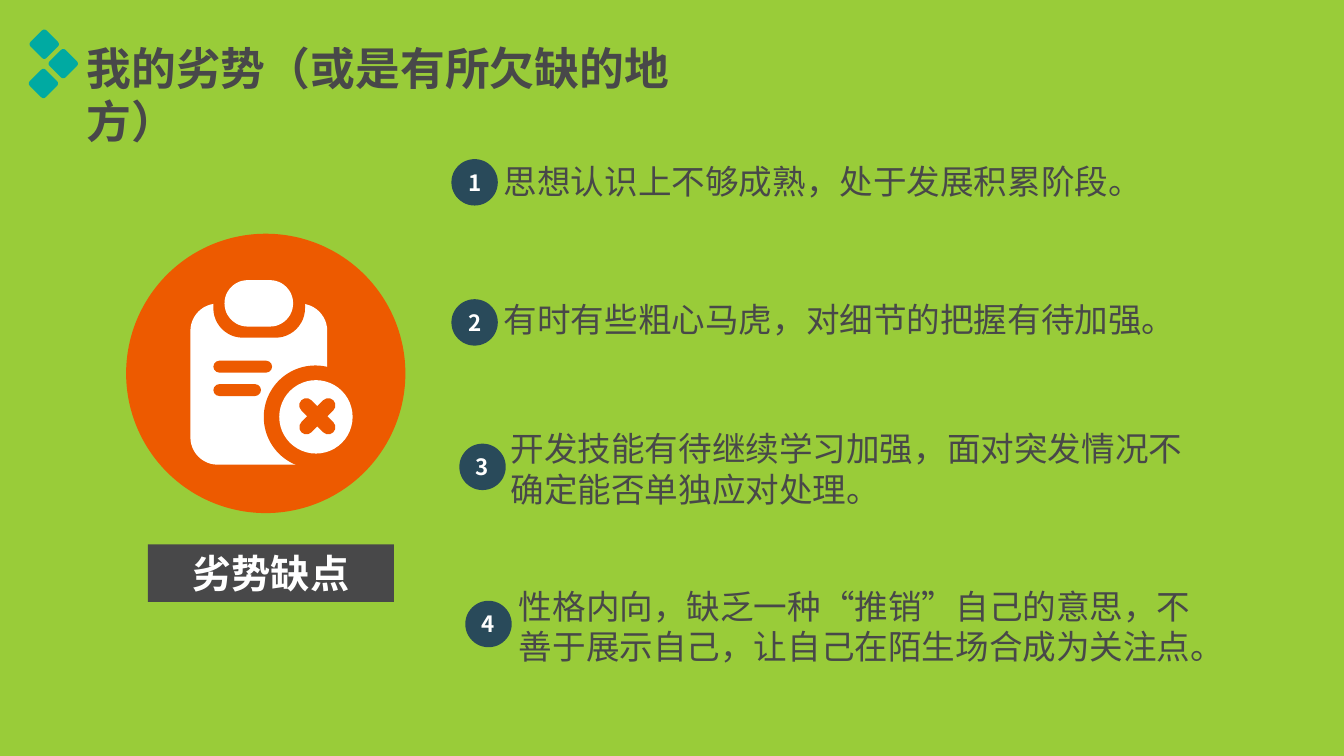
import pptx
import pptx.util
import pptx.dml.color
import pptx.enum.shapes
import pptx.enum.text
import pptx.oxml.ns
from lxml import etree

Cm = pptx.util.Cm
SHAPE = pptx.enum.shapes.MSO_SHAPE
ALIGN = pptx.enum.text.PP_ALIGN
ANCHOR = pptx.enum.text.MSO_ANCHOR
FONT = "Noto Sans CJK SC"
COLORS = {
    "background": "99CC39",
    "text": "484849",
    "diamond": "00AAA2",
    "disc": "ED5A00",
    "number": "294A5A",
    "white": "FFFFFF",
}


def add_filled(preset, left, top, width, height, color, radius=None, rotation=0):
    shape = slide.shapes.add_shape(preset, Cm(left), Cm(top), Cm(width), Cm(height))
    shape.shadow.inherit = False
    shape.fill.solid()
    shape.fill.fore_color.rgb = pptx.dml.color.RGBColor.from_string(COLORS[color])
    shape.line.fill.background()
    shape.rotation = rotation
    if radius is not None:
        shape.adjustments[0] = radius
    return shape


def write(frame, text, size, color, bold=False, align=ALIGN.LEFT, anchor=ANCHOR.TOP):
    frame.word_wrap = True
    frame.vertical_anchor = anchor
    paragraph = frame.paragraphs[0]
    paragraph.alignment = align
    run = paragraph.add_run()
    run.text = text
    run.font.name = FONT
    run.font.size = pptx.util.Pt(size)
    run.font.bold = bold
    run.font.color.rgb = pptx.dml.color.RGBColor.from_string(COLORS[color])
    east_asian = etree.SubElement(run.font._element, pptx.oxml.ns.qn("a:ea"))
    east_asian.set("typeface", FONT)


deck = pptx.Presentation()
deck.slide_width = Cm(33.88)
deck.slide_height = Cm(19.05)
slide = deck.slides.add_slide(deck.slide_layouts[5])
slide.background.fill.solid()
slide.background.fill.fore_color.rgb = pptx.dml.color.RGBColor.from_string(COLORS["background"])

title = slide.shapes.title
title.left, title.top, title.width, title.height = Cm(1.93), Cm(0.89), Cm(16.61), Cm(1.63)
title.text_frame.auto_size = pptx.enum.text.MSO_AUTO_SIZE.SHAPE_TO_FIT_TEXT
write(title.text_frame, "我的劣势（或是有所欠缺的地方）", 32, "text", bold=True)

for left, top in [(0.83, 0.83), (1.31, 1.32), (0.81, 1.82)]:
    add_filled(SHAPE.ROUNDED_RECTANGLE, left, top, 0.57, 0.57, "diamond", 0.14, 45)

label = add_filled(SHAPE.RECTANGLE, 3.73, 13.72, 6.2, 1.45, "text")
write(label.text_frame, "劣势缺点", 28, "white", True, ALIGN.CENTER, ANCHOR.MIDDLE)

add_filled(SHAPE.OVAL, 3.18, 5.89, 7.04, 7.04, "disc")
clipboard_parts = [
    (4.8, 7.65, 3.45, 4.06, "white", 0.2, 0),
    (5.38, 6.78, 2.31, 1.73, "disc", 0.43, 0),
    (5.66, 7.06, 1.73, 1.17, "white", 0.5, 0),
    (5.38, 9.09, 1.48, 0.3, "disc", 0.5, 0),
    (5.38, 9.68, 1.2, 0.3, "disc", 0.5, 0),
    (6.65, 9.21, 2.6, 2.6, "disc", 0.5, 0),
    (7.04, 9.58, 1.85, 1.85, "white", 0.5, 0),
    (7.43, 10.31, 1.14, 0.36, "disc", 0.5, 45),
    (7.43, 10.31, 1.14, 0.36, "disc", 0.5, 135),
]
for part in clipboard_parts:
    add_filled(SHAPE.ROUNDED_RECTANGLE, *part)

weaknesses = [
    (11.38, 4.01, 12.45, 3.94, 1.27, "思想认识上不够成熟，处于发展积累阶段。"),
    (11.38, 7.54, 12.45, 7.42, 1.27, "有时有些粗心马虎，对细节的把握有待加强。"),
    (11.58, 11.18, 12.62, 10.67, 2.31, "开发技能有待继续学习加强，面对突发情况不确定能否单独应对处理。"),
    (11.73, 15.14, 12.83, 14.63, 2.31,
     "性格内向，缺乏一种“推销”自己的意思，不善于展示自己，让自己在陌生场合成为关注点。"),
]
for number, (dot_left, dot_top, left, top, height, weakness) in enumerate(weaknesses, 1):
    dot = add_filled(SHAPE.OVAL, dot_left, dot_top, 1.17, 1.17, "number")
    frame = dot.text_frame
    frame.margin_left = frame.margin_right = frame.margin_top = frame.margin_bottom = 0
    write(frame, str(number), 16, "white", True, ALIGN.CENTER, ANCHOR.MIDDLE)
    description = slide.shapes.add_textbox(Cm(left), Cm(top), Cm(17.81), Cm(height))
    description.text_frame.auto_size = pptx.enum.text.MSO_AUTO_SIZE.SHAPE_TO_FIT_TEXT
    write(description.text_frame, weakness, 24, "text")

deck.save("out.pptx")
